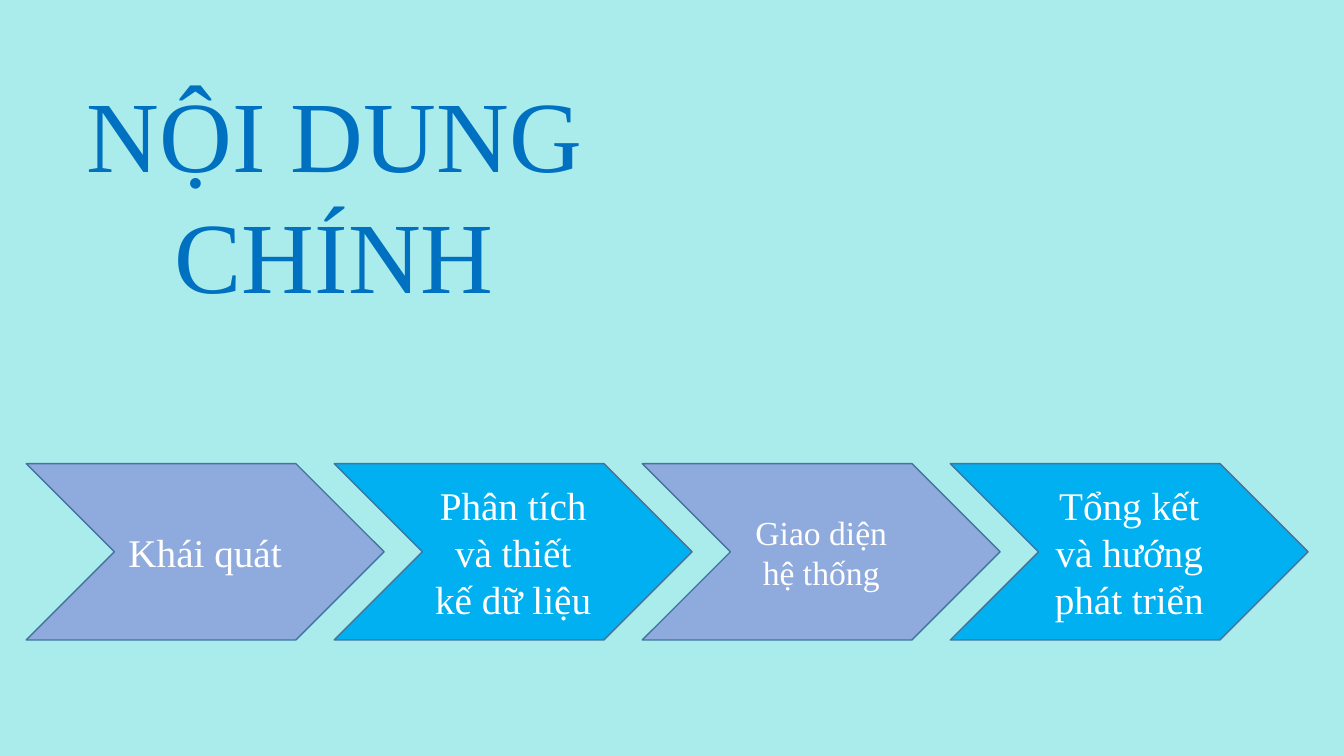
from pptx import Presentation
from pptx.dml.color import RGBColor
from pptx.enum.shapes import MSO_SHAPE
from pptx.enum.text import MSO_ANCHOR, PP_ALIGN
from pptx.util import Inches, Pt

COLORS = {
    "panel": "AAECEC",
    "panel_line": "86DDE6",
    "title": "0070C0",
    "periwinkle": "8FAADC",
    "sky": "00B0F0",
    "step_line": "43739E",
    "white": "FFFFFF",
}

STEPS = [
    ("Khái quát", 28),
    ("Phân tích và thiết kế dữ liệu", 28),
    ("Giao diện hệ thống", 24),
    ("Tổng kết và hướng phát triển", 28),
]
STEP_FILLS = ["periwinkle", "sky"]
STEP_LEFT, STEP_PITCH = 1.95, 22.92
STEP_TOP, STEP_WIDTH, STEP_HEIGHT = 61.33, 26.63, 23.33


class SlideBuilder:
    """Draws styled elements on one slide, with lengths in percent of its size."""

    def __init__(self, presentation, font_name):
        self.presentation = presentation
        self.font_name = font_name
        self.slide = presentation.slides.add_slide(presentation.slide_layouts[6])

    def box(self, left, top, width, height):
        column = self.presentation.slide_width / 100
        row = self.presentation.slide_height / 100
        return (round(left * column), round(top * row),
                round(width * column), round(height * row))

    def color(self, name):
        return RGBColor.from_string(COLORS[name])

    def add_text(self, shape, text, size, color):
        shape.text_frame.word_wrap = True
        paragraph = shape.text_frame.paragraphs[0]
        paragraph.alignment = PP_ALIGN.CENTER
        run = paragraph.add_run()
        run.text = text
        run.font.name = self.font_name
        run.font.size = Pt(size)
        run.font.color.rgb = self.color(color)

    def shape(self, kind, box, fill, line):
        shape = self.slide.shapes.add_shape(kind, *self.box(*box))
        shape.shadow.inherit = False
        shape.fill.solid()
        shape.fill.fore_color.rgb = self.color(fill)
        shape.line.color.rgb = self.color(line)
        shape.line.width = Pt(1)
        return shape

    def panel(self, box):
        panel = self.shape(MSO_SHAPE.ROUNDED_RECTANGLE, box, "panel", "panel_line")
        panel.adjustments[0] = 0.09

    def title(self, box, text):
        title = self.slide.shapes.add_textbox(*self.box(*box))
        self.add_text(title, text, 72, "title")

    def step(self, box, text, size, fill):
        chevron = self.shape(MSO_SHAPE.CHEVRON, box, fill, "step_line")
        chevron.text_frame.vertical_anchor = MSO_ANCHOR.MIDDLE
        self.add_text(chevron, text, size, "white")


def main():
    presentation = Presentation()
    presentation.slide_width = Inches(13.33)
    presentation.slide_height = Inches(7.5)

    builder = SlideBuilder(presentation, "Times New Roman")
    builder.panel((-1.73, -5.87, 103.3, 109.47))
    builder.title((3.15, 8.8, 43.44, 33.6), "NỘI DUNG CHÍNH")
    for index, (text, size) in enumerate(STEPS):
        left = STEP_LEFT + index * STEP_PITCH
        fill = STEP_FILLS[index % len(STEP_FILLS)]
        builder.step((left, STEP_TOP, STEP_WIDTH, STEP_HEIGHT), text, size, fill)

    presentation.save("out.pptx")


if __name__ == "__main__":
    main()
